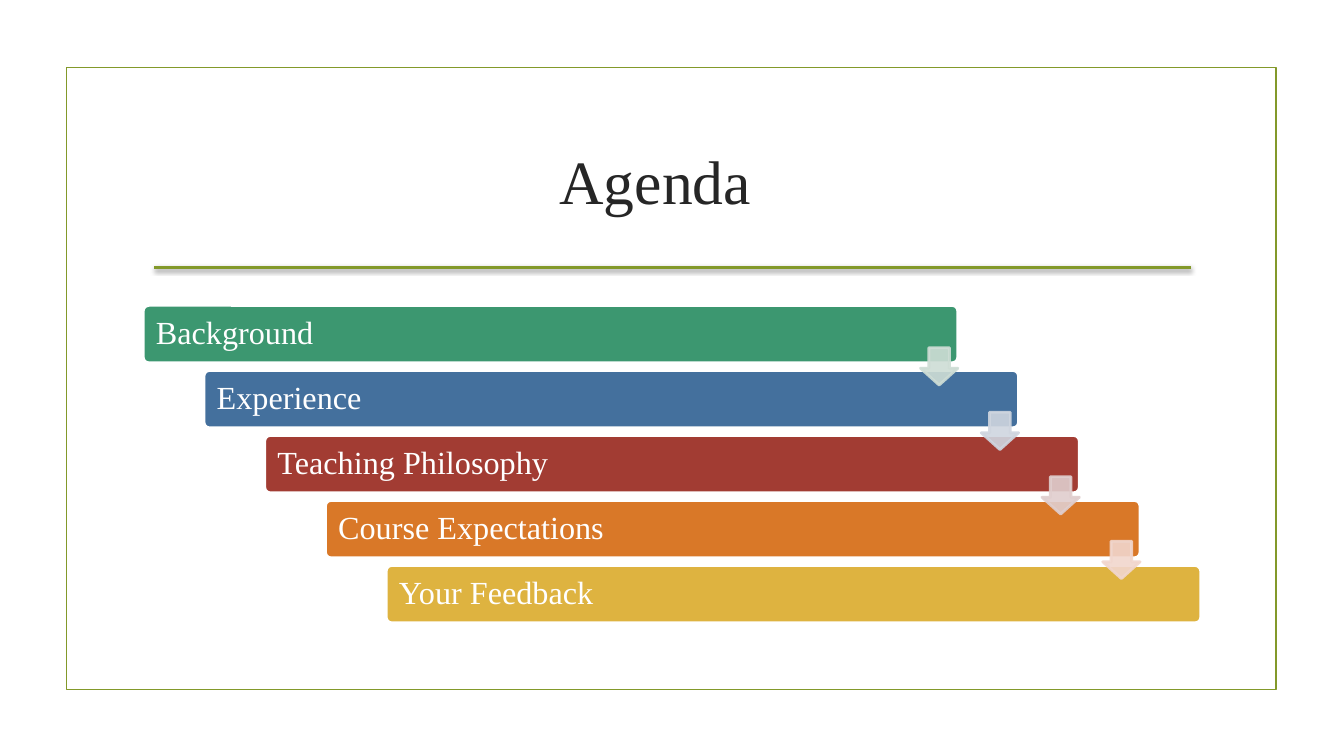
from dataclasses import dataclass

from lxml import etree
from pptx import Presentation
from pptx.dml.color import RGBColor
from pptx.enum.shapes import MSO_CONNECTOR, MSO_SHAPE
from pptx.enum.text import MSO_ANCHOR, PP_ALIGN
from pptx.oxml.ns import qn
from pptx.util import Inches, Pt

RECT = MSO_SHAPE.RECTANGLE
ROUND = MSO_SHAPE.ROUNDED_RECTANGLE
DOWN = MSO_SHAPE.DOWN_ARROW
LINE = MSO_CONNECTOR.STRAIGHT
MIDDLE = MSO_ANCHOR.MIDDLE
LEFT, CENTER = PP_ALIGN.LEFT, PP_ALIGN.CENTER


@dataclass(frozen=True)
class Theme:
    font: str = "Times New Roman"
    accent: str = "83992A"
    ink: str = "262626"
    white: str = "FFFFFF"
    black: str = "000000"
    title: int = 44
    body: int = 23


THEME = Theme()

# Topic, bar colour, colour of the arrow to the next bar
STEPS = [
    ("Background", "3C9770", "CEDDD5"),
    ("Experience", "44709D", "CFD5DF"),
    ("Teaching Philosophy", "A23C33", "E0CECE"),
    ("Course Expectations", "D97828", "F1D6CD"),
    ("Your Feedback", "DEB340", None),
]
BAR_X, BAR_Y, BAR_W, BAR_H = 1.42, 3.03, 8.08, 0.57
STEP_X = (3.83 - BAR_X) / (len(STEPS) - 1)
STEP_Y = (5.61 - BAR_Y) / (len(STEPS) - 1)
ARROW_X, ARROW_Y, ARROW = BAR_X + 7.71, 3.45, 0.37


def rgb(code):
    return RGBColor.from_string(code)


def add_box(slide, kind, box, fill, line, width, adjust=()):
    shape = slide.shapes.add_shape(kind, *map(Inches, box))
    shape.shadow.inherit = False
    for i, value in enumerate(adjust):
        shape.adjustments[i] = value
    if fill:
        shape.fill.solid()
        shape.fill.fore_color.rgb = rgb(fill)
    else:
        shape.fill.background()
    shape.line.color.rgb = rgb(line)
    shape.line.width = Pt(width)
    return shape


def write(frame, text, size, color, align):
    frame.word_wrap = True
    frame.vertical_anchor = MIDDLE
    para = frame.paragraphs[0]
    para.text = text
    para.alignment = align
    para.font.name = THEME.font
    para.font.size = Pt(size)
    para.font.color.rgb = rgb(color)
    return para


def set_alpha(node, percent):
    etree.SubElement(node, qn("a:alpha"), val=str(percent * 1000))


def add_rule(slide):
    rule = slide.shapes.add_connector(
        LINE, Inches(1.53), Inches(2.65), Inches(11.81), Inches(2.65))
    rule.line.color.rgb = rgb(THEME.accent)
    rule.line.width = Pt(2)
    # Soft shadow straight below the rule
    effects = etree.SubElement(rule._element.spPr, qn("a:effectLst"))
    shadow = etree.SubElement(
        effects, qn("a:outerShdw"), blurRad=str(Pt(3.1)), dist=str(Pt(1.6)),
        dir=str(90 * 60000), rotWithShape="0")
    color = etree.SubElement(shadow, qn("a:srgbClr"), val=THEME.black)
    set_alpha(color, 38)


def add_title(slide, text):
    box = slide.shapes.add_textbox(
        Inches(1.25), Inches(1.07), Inches(10.5), Inches(1.43))
    write(box.text_frame, text, THEME.title, THEME.ink, CENTER)


def add_bar(slide, i, text, fill):
    place = (BAR_X + i * STEP_X, BAR_Y + i * STEP_Y, BAR_W, BAR_H)
    bar = add_box(slide, ROUND, place, fill, THEME.white, 2, [0.1])
    frame = bar.text_frame
    frame.margin_left = frame.margin_top = frame.margin_bottom = Inches(0.11)
    frame.margin_right = Inches(0.1)
    para = write(frame, text, THEME.body, THEME.white, LEFT)
    para.line_spacing = 0.9
    para.space_after = Pt(8.1)


def add_arrow(slide, i, color):
    place = (ARROW_X + i * STEP_X, ARROW_Y + i * 0.64, ARROW, ARROW)
    arrow = add_box(slide, DOWN, place, color, color, 2)
    # The preset lists its head length first in some tables: set by name order
    arrow.adjustments[0], arrow.adjustments[1] = 0.55, 0.45
    for node in arrow._element.spPr.iter(qn("a:srgbClr")):
        set_alpha(node, 90)


def main():
    deck = Presentation()
    deck.slide_width, deck.slide_height = Inches(13.33), Inches(7.5)
    slide = deck.slides.add_slide(deck.slide_layouts[6])

    # Frame and heading
    add_box(slide, RECT, (0.66, 0.67, 12, 6.17), None, THEME.accent, 1.25)
    add_rule(slide)
    add_title(slide, "Agenda")

    # Staircase of topics, then the arrows on top
    for i, (text, fill, _) in enumerate(STEPS):
        add_bar(slide, i, text, fill)
    for i, (_, _, color) in enumerate(STEPS[:-1]):
        add_arrow(slide, i, color)

    deck.save("out.pptx")


if __name__ == "__main__":
    main()
